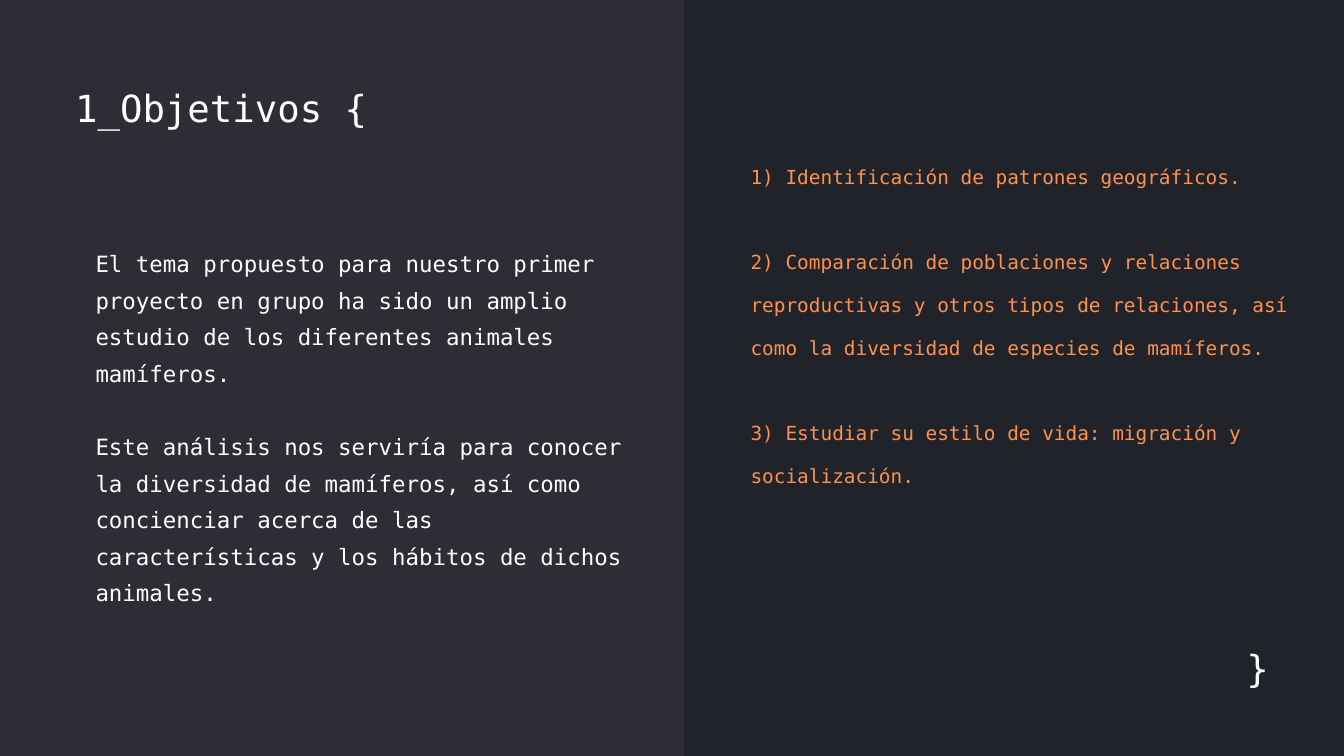
import pptx
import pptx.dml.color
import pptx.enum.shapes
import pptx.enum.text
import pptx.oxml
import pptx.oxml.ns
import pptx.util

Cm, Pt = pptx.util.Cm, pptx.util.Pt
Align = pptx.enum.text.PP_ALIGN
WHITE, ORANGE, PANEL, NIGHT = "FFFFFF", "FF914D", "2D2D35", "20232A"


def rgb(value):
    return pptx.dml.color.RGBColor.from_string(value)


def write(box, place, paragraphs, size, color, line_height, align=Align.LEFT):
    box.left, box.top, box.width, box.height = [Cm(value) for value in place]
    frame = box.text_frame
    frame_format = {
        "margin_left": 0, "margin_top": 0, "margin_right": 0, "margin_bottom": 0,
        "word_wrap": True,
        "auto_size": pptx.enum.text.MSO_AUTO_SIZE.NONE,
        "vertical_anchor": pptx.enum.text.MSO_ANCHOR.TOP,
    }
    for name, value in frame_format.items():
        setattr(frame, name, value)
    frame.text = "\n".join(paragraphs)
    for index, paragraph in enumerate(frame.paragraphs):
        # No bullet and no hanging indent
        properties = paragraph._p.get_or_add_pPr()
        properties.set("marL", "0")
        properties.set("indent", "0")
        pptx.oxml.ns.qn("a:buNone")
        properties.append(pptx.oxml.parse_xml(
            f'<a:buNone {pptx.oxml.ns.nsdecls("a")}/>'))
        # One empty line's height between paragraphs
        paragraph_format = {
            "alignment": align,
            "line_spacing": Pt(line_height),
            "space_before": Pt(line_height if index else 0),
            "space_after": Pt(0),
        }
        for name, value in paragraph_format.items():
            setattr(paragraph, name, value)
        for run in paragraph.runs:
            for name, value in {"name": "DejaVu Sans Mono", "size": Pt(size)}.items():
                setattr(run.font, name, value)
            run.font.color.rgb = rgb(color)


# Slide and dark background
deck = pptx.Presentation()
deck.slide_width, deck.slide_height = Cm(50.8), Cm(28.58)
slide = deck.slides.add_slide(deck.slide_layouts.get_by_name("Two Content"))
slide.background.fill.solid()
slide.background.fill.fore_color.rgb = rgb(NIGHT)

# Left panel, behind the text
panel = slide.shapes.add_shape(
    pptx.enum.shapes.MSO_SHAPE.RECTANGLE, 0, 0, Cm(25.86), Cm(28.85))
panel.shadow.inherit = False
panel.fill.solid()
panel.fill.fore_color.rgb = rgb(PANEL)
panel.line.fill.background()
panel._element.getparent().insert(2, panel._element)

# Title and closing brace
title, topic, goals = slide.placeholders
write(title, (2.84, 2.92, 19.53, 1.65), ["1_Objetivos {"], 40, WHITE, 56)
closing_brace = slide.shapes.add_textbox(0, 0, 0, 0)
write(closing_brace, (46, 24.1, 1.96, 1.63), ["}"], 40, WHITE, 56, Align.RIGHT)

# Topic on the left
write(topic, (3.61, 9.09, 20.12, 13.59), [
    "El tema propuesto para nuestro primer proyecto en grupo ha sido un amplio "
    "estudio de los diferentes animales mamíferos.",
    "Este análisis nos serviría para conocer la diversidad de mamíferos, así como "
    "concienciar acerca de las características y los hábitos de dichos animales.",
], 24, WHITE, 39.2)

# Goals on the right
write(goals, (28.37, 5.49, 20.4, 22.4), [
    "1) Identificación de patrones geográficos.",
    "2) Comparación de poblaciones y relaciones reproductivas y otros tipos de "
    "relaciones, así como la diversidad de especies de mamíferos.",
    "3) Estudiar su estilo de vida: migración y socialización.",
], 20.8, ORANGE, 45.8)

# Divider along the panel's edge
divider = slide.shapes.add_connector(
    pptx.enum.shapes.MSO_CONNECTOR.STRAIGHT, Cm(25.53), Cm(3.05), Cm(25.53), Cm(25.25))
divider.line.color.rgb = rgb(PANEL)
divider.line.width = Pt(7.5)
divider._element.spPr.append(pptx.oxml.parse_xml(
    f'<a:effectLst {pptx.oxml.ns.nsdecls("a")}/>'))

deck.save("out.pptx")
